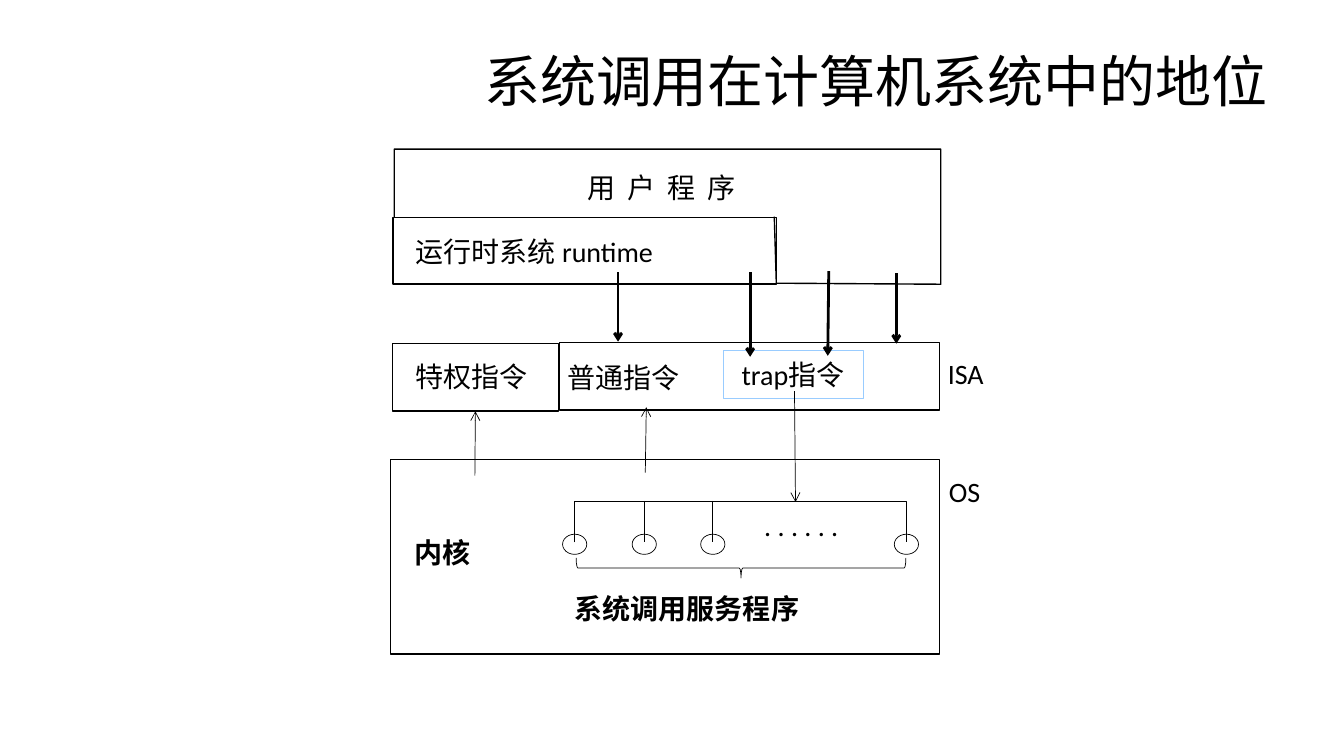
import pptx
import pptx.util
import pptx.dml.color
import pptx.enum.shapes
import pptx.enum.text
import pptx.oxml
import pptx.oxml.ns

BLACK = pptx.dml.color.RGBColor(0x00, 0x00, 0x00)
LIGHT_BLUE = pptx.dml.color.RGBColor(0x99, 0xCC, 0xFF)
Pt = pptx.util.Pt
SHAPE = pptx.enum.shapes.MSO_SHAPE
ALIGN = pptx.enum.text.PP_ALIGN

presentation = pptx.Presentation()
presentation.slide_width = pptx.util.Inches(13.33)
presentation.slide_height = pptx.util.Inches(7.5)
slide = presentation.slides.add_slide(presentation.slide_layouts[6])
column = presentation.slide_width // 1333
row = presentation.slide_height // 750


def style_outline(shape, width, color=BLACK):
    shape.shadow.inherit = False
    shape.fill.background()
    shape.line.color.rgb = color
    shape.line.width = Pt(width)


def write_text(shape, text, alignment=ALIGN.JUSTIFY, size=20, font="Calibri", bold=False, inset=0):
    frame = shape.text_frame
    frame.text = text
    frame.word_wrap = True
    frame.vertical_anchor = pptx.enum.text.MSO_ANCHOR.MIDDLE
    frame.margin_left = frame.margin_right = inset * column
    frame.margin_top = frame.margin_bottom = inset * row // 2
    paragraph = frame.paragraphs[0]
    paragraph.alignment = alignment
    run = paragraph.runs[0]
    run.font.size = Pt(size)
    run.font.name = font
    run.font.bold = bold
    run.font.color.rgb = BLACK
    return run


title = slide.shapes.add_textbox(67 * column, 30 * row, 1200 * column, 99 * row)
write_text(title, "系统调用在计算机系统中的地位", ALIGN.RIGHT, 40, "Arial", inset=10)

boxes = {}
for name, left, top, width, height, weight, color in [
    ("privileged", 389, 341, 165, 67, 1, BLACK),
    ("ordinary", 555, 340, 377, 67, 1, BLACK),
    ("runtime", 390, 216, 380, 66, 1, BLACK),
    ("trap", 717, 348, 139, 47, 0.5, LIGHT_BLUE),
    ("kernel", 387, 456, 545, 193, 1, BLACK),
]:
    boxes[name] = slide.shapes.add_shape(
        SHAPE.RECTANGLE, left * column, top * row, width * column, height * row)
    style_outline(boxes[name], weight, color)
write_text(boxes["trap"], "trap指令", ALIGN.CENTER)

drops = [570, 639, 707, 899]
bus_top, bus_bottom = 497, 538
user_program = [(391, 216), (391, 148), (933, 148), (933, 282), (770, 281), (768, 215)]
service_bus = [(drops[0], bus_bottom), (drops[0], bus_top),
               (drops[-1], bus_top), (drops[-1], bus_bottom)]
for points, weight in [(user_program, 1), (service_bus, 0.5)]:
    corners = [(x * column, y * row) for x, y in points]
    builder = slide.shapes.build_freeform(*corners[0], scale=1.0)
    builder.add_line_segments(corners[1:], close=False)
    style_outline(builder.convert_to_shape(), weight)

for center in drops:
    service = slide.shapes.add_shape(
        SHAPE.OVAL, (center - 12) * column, 530 * row, 24 * column, 20 * row)
    style_outline(service, 0.5)

brace = slide.shapes.add_shape(SHAPE.LEFT_BRACE, 725 * column, 400 * row, 20 * column, 327 * row)
brace.rotation = 270
style_outline(brace, 0.5)

lines = [
    (613, 270, 613, 339, 0, True, None),
    (744, 270, 744, 354, 0, True, None),
    (822, 269, 821, 353, 0, True, None),
    (889, 271, 889, 341, 0, True, None),
    (471, 472, 472, 407, 0.5, True, "privileged"),
    (640, 469, 641, 404, 0.5, True, None),
    (788, 388, 789, 498, 0.5, True, None),
]
lines += [(x, bus_top, x, bus_bottom, 0.5, False, None) for x in drops[1:-1]]
for x1, y1, x2, y2, weight, has_arrow, target in lines:
    connector = slide.shapes.add_connector(
        pptx.enum.shapes.MSO_CONNECTOR.STRAIGHT, x1 * column, y1 * row, x2 * column, y2 * row)
    connector.line.color.rgb = BLACK
    connector.line.width = Pt(weight)
    if target:
        connector.end_connect(boxes[target], 2)
    if has_arrow:
        tail = pptx.oxml.parse_xml(
            '<a:tailEnd %s type="arrow"/>' % pptx.oxml.ns.nsdecls("a"))
        connector.line._get_or_add_ln().append(tail)
    connector._element.spPr.append(
        pptx.oxml.parse_xml("<a:effectLst %s/>" % pptx.oxml.ns.nsdecls("a")))

for text, left, top, width, bold, spacing in [
    ("用 户 程 序", 583, 156, 246, False, 200),
    ("运行时系统 runtime", 412, 220, 321, False, 0),
    ("特权指令", 412, 344, 139, False, 0),
    ("普通指令", 563, 345, 146, False, 0),
    ("ISA", 940, 341, 62, False, 0),
    ("OS", 941, 458, 62, False, 0),
    (". . . . . .", 758, 492, 117, False, 0),
    ("内核", 411, 518, 139, True, 0),
    ("系统调用服务程序", 570, 574, 269, True, 0),
]:
    label = slide.shapes.add_textbox(left * column, top * row, width * column, 59 * row)
    run = write_text(label, text, bold=bold)
    if spacing:
        run._r.get_or_add_rPr().set("spc", str(spacing))

presentation.save("out.pptx")
